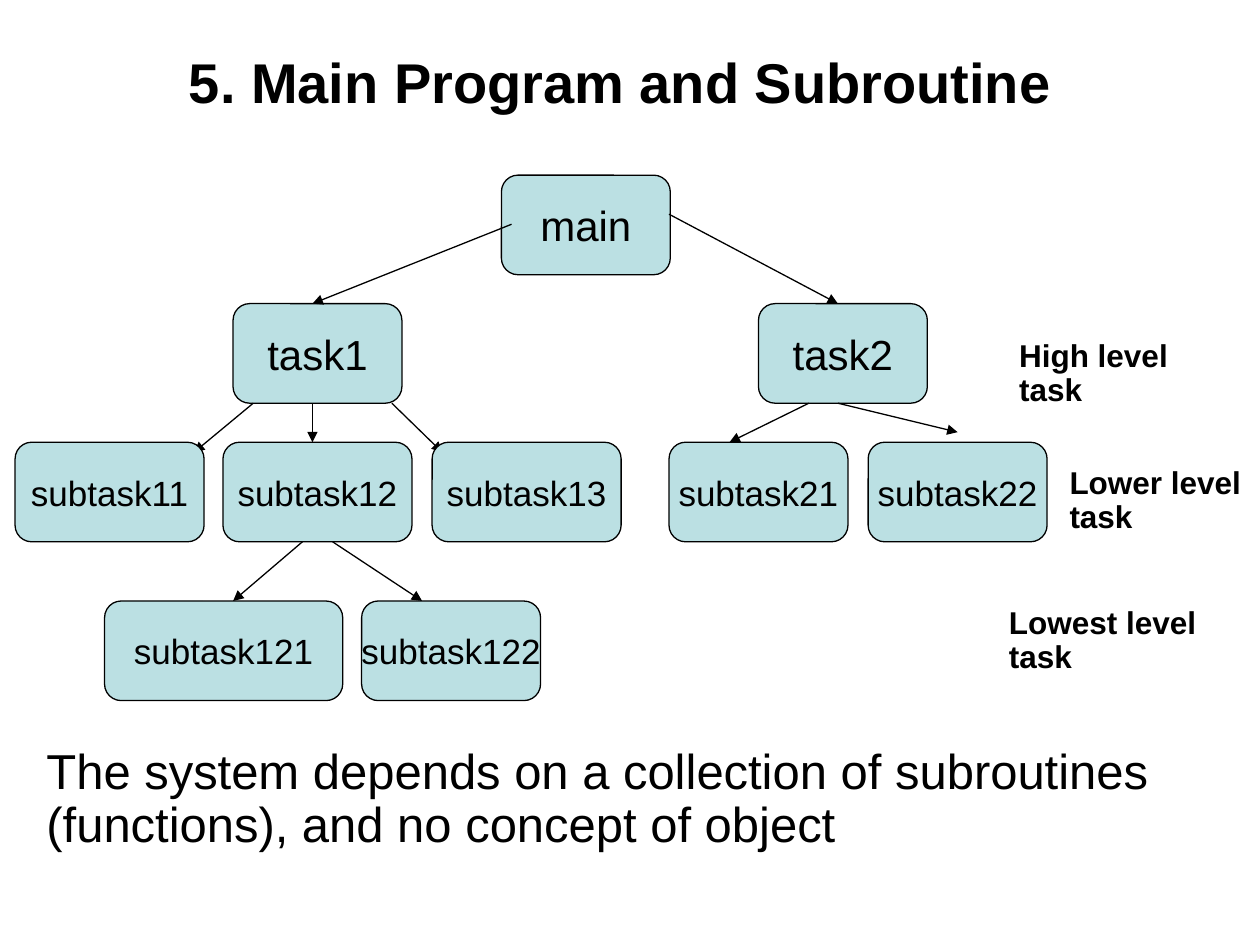
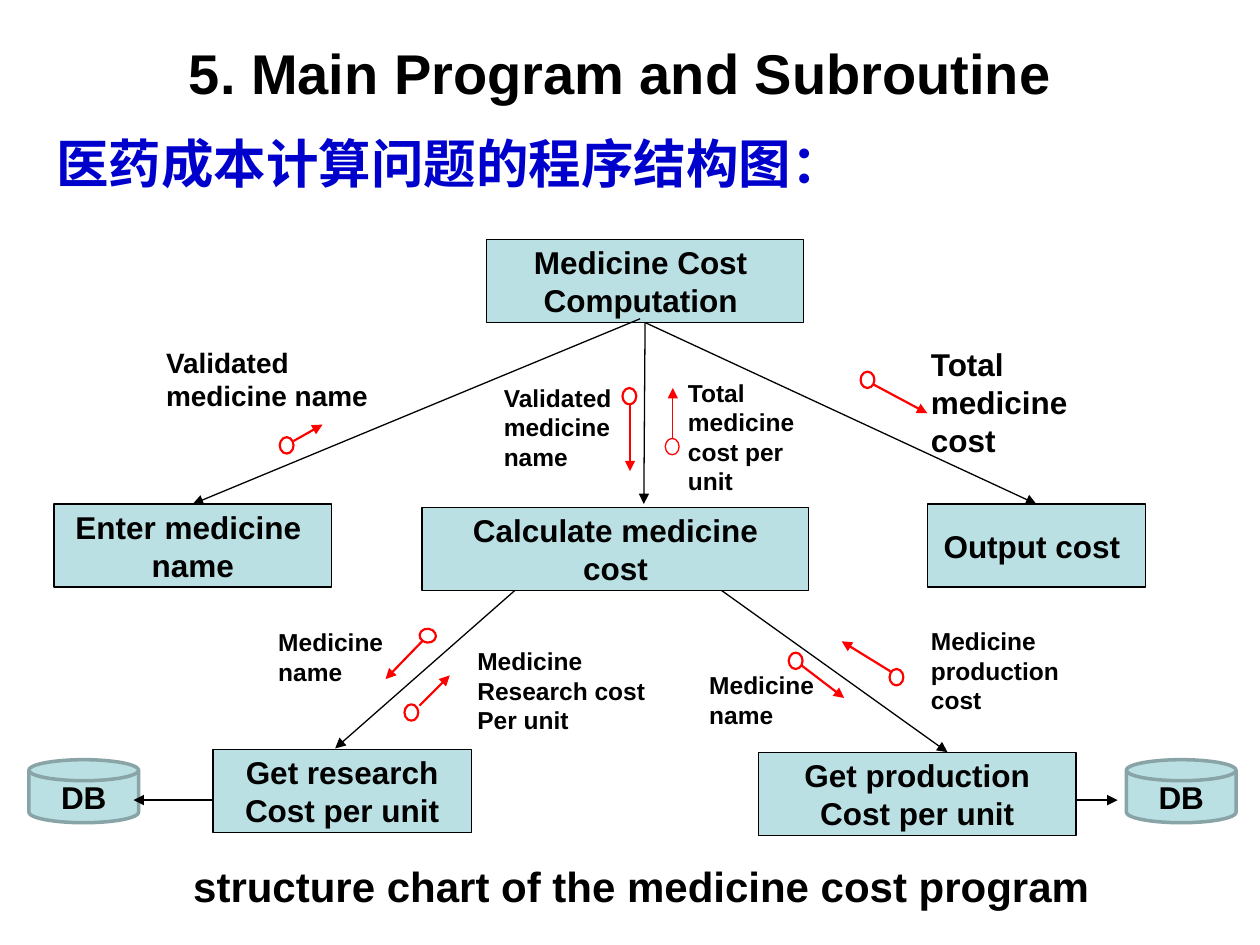
from lxml import etree
from pptx import Presentation
from pptx.dml.color import RGBColor
from pptx.enum import shapes, text
from pptx.oxml.ns import qn
from pptx.util import Pt

# Shared look
BLACK = RGBColor(0x00, 0x00, 0x00)
WHITE = RGBColor(0xFF, 0xFF, 0xFF)
AQUA = RGBColor(0xBB, 0xE0, 0xE3)
TEAL = RGBColor(0x89, 0xA4, 0xA7)
RED = RGBColor(0xFF, 0x00, 0x00)
BLUE = RGBColor(0x00, 0x00, 0xCC)
FONT = "Arial"
TITLE = "5. Main Program and Subroutine"
CENTER = text.PP_ALIGN.CENTER
PRESET = shapes.MSO_SHAPE

# The slide is a grid of 100 columns by 75 rows of square cells
deck = Presentation()
deck.slide_width, deck.slide_height = Pt(720), Pt(540)
CELL = deck.slide_width / 100


def add_block(page, preset, place, lines, size, bold=False, color=BLACK,
              spacing=None, fill=AQUA, edge=BLACK, weight=0.75):
    """Add a filled, centred shape, or a plain text box when preset is None."""
    left, top, width, height = (round(n * CELL) for n in place)
    if preset is None:
        box = page.shapes.add_textbox(left, top, width, height)
    else:
        box = page.shapes.add_shape(preset, left, top, width, height)
        box.shadow.inherit = False
        if fill is None:
            box.fill.background()
        else:
            box.fill.solid()
            box.fill.fore_color.rgb = fill
        if edge is None:
            box.line.fill.background()
        else:
            box.line.color.rgb = edge
            box.line.width = Pt(weight)
    frame = box.text_frame
    frame.word_wrap = preset is None
    if preset is not None:
        frame.vertical_anchor = text.MSO_ANCHOR.MIDDLE
    for number, line in enumerate(lines):
        para = frame.add_paragraph() if number else frame.paragraphs[0]
        para.text = line
        para.alignment = text.PP_ALIGN.LEFT if preset is None else CENTER
        if spacing:
            para.line_spacing = spacing
        para.font.name = FONT
        para.font.size = Pt(size)
        para.font.bold = bold
        para.font.color.rgb = color
    return box


def add_arrow(page, start, end, color=BLACK, weight=0.75):
    """Add a straight line with a triangle at its end."""
    ends = [round(n * CELL) for n in (*start, *end)]
    arrow = page.shapes.add_connector(shapes.MSO_CONNECTOR.STRAIGHT, *ends)
    arrow.line.color.rgb = color
    arrow.line.width = Pt(weight)
    etree.SubElement(arrow.line._get_or_add_ln(), qn("a:tailEnd"), type="triangle")
    etree.SubElement(arrow._element.spPr, qn("a:effectLst"))
    return arrow


# Pages with their titles
pages = []
for title_top in (2.8, 2.1):
    page = deck.slides.add_slide(deck.slide_layouts[6])
    title = add_block(page, PRESET.RECTANGLE, (9, title_top, 80.3, 6.4), [TITLE],
                      32, bold=True, fill=WHITE, edge=None)
    frame = title.text_frame
    frame.word_wrap = True
    frame.vertical_anchor = text.MSO_ANCHOR.TOP
    frame.margin_left, frame.margin_top = round(6 * CELL), round(CELL)
    frame.paragraphs[0].alignment = text.PP_ALIGN.LEFT
    pages.append(page)
tree_page, chart_page = pages

# Slide 1: call tree, one row of nodes per level
NODE_HEIGHT = 7.9
MAIN_ROW, TASK_ROW, SUBTASK_ROW, LEAF_ROW = 13.9, 24.1, 35.1, 47.7
TASK_BOTTOM = TASK_ROW + NODE_HEIGHT
SUBTASK_BOTTOM = SUBTASK_ROW + NODE_HEIGHT

upper_nodes = [
    ("main", 39.8, MAIN_ROW, 13.4),
    ("task1", 18.5, TASK_ROW, 13.4),
    ("task2", 60.2, TASK_ROW, 13.4),
]
lower_nodes = [
    ("subtask11", 1.2, SUBTASK_ROW, 15),
    ("subtask12", 17.7, SUBTASK_ROW, 15),
    ("subtask13", 34.3, SUBTASK_ROW, 15),
    ("subtask21", 53.1, SUBTASK_ROW, 14.2),
    ("subtask22", 68.9, SUBTASK_ROW, 14.2),
    ("subtask121", 8.3, LEAF_ROW, 18.9),
    ("subtask122", 28.7, LEAF_ROW, 14.2),
]
calls = [
    ((40.6, 17.8), (24.8, TASK_ROW)),
    ((53.1, 17), (66.5, TASK_ROW)),
    ((20.1, TASK_BOTTOM), (15.4, 35.9)),
    ((24.8, TASK_BOTTOM), (24.8, SUBTASK_ROW)),
    ((31.1, TASK_BOTTOM), (35.1, 35.9)),
    ((64.2, TASK_BOTTOM), (57.9, SUBTASK_ROW)),
    ((66.5, TASK_BOTTOM), (76, 34.3)),
    ((24, SUBTASK_BOTTOM), (18.5, LEAF_ROW)),
    ((26.4, SUBTASK_BOTTOM), (33.5, LEAF_ROW)),
]
for name, left, top, width in upper_nodes:
    add_block(tree_page, PRESET.ROUNDED_RECTANGLE, (left, top, width, NODE_HEIGHT), [name], 24)
for start, end in calls:
    add_arrow(tree_page, start, end)
for name, left, top, width in lower_nodes:
    add_block(tree_page, PRESET.ROUNDED_RECTANGLE, (left, top, width, NODE_HEIGHT), [name], 20)

# Level labels and closing statement
for level, left, top, width in [
    ("High level", 79.9, 26.5, 15.7),
    ("Lower level", 83.9, 36.6, 15.7),
    ("Lowest level", 79.1, 47.7, 17.7),
]:
    add_block(tree_page, None, (left, top, width, 6.4), [level, "task"], 18,
              bold=True, spacing=0.9)
add_block(tree_page, None, (2.7, 58.8, 94.1, 11.8),
          ["The system depends on a collection of subroutines",
           "(functions), and no concept of object"], 28, spacing=0.9)

# Slide 2: heading and caption
add_block(chart_page, None, (3.5, 9.9, 65.9, 6), ["医药成本计算问题的程序结构图："], 30,
          bold=True, color=BLUE)
caption = add_block(chart_page, None, (5.9, 68.6, 90, 4.3),
                    ["structure chart of the medicine cost program"], 24,
                    bold=True, spacing=0.8)
caption.text_frame.paragraphs[0].alignment = CENTER

# Modules and the calls between them; the middle module covers its arrows' ends
MODULE_HEIGHT = 6.6
modules = {}
for key, lines, left, top, width in [
    ("computation", ["Medicine Cost ", "Computation "], 38.6, 19, 25.2),
    ("enter", ["Enter medicine ", "name"], 4.3, 40, 22),
    ("output", ["Output cost "], 73.6, 40, 17.3),
    ("production", ["Get production", "Cost per unit"], 60.2, 59.7, 25.2),
    ("research", ["Get research", "Cost per unit"], 16.9, 59.5, 20.5),
]:
    modules[key] = add_block(chart_page, PRESET.RECTANGLE, (left, top, width, MODULE_HEIGHT),
                             lines, 18, bold=True)

enter_call = add_arrow(chart_page, (50.8, 25.3), (15.3, 39.7))
enter_call.end_connect(modules["enter"], 0)
calculate_call = add_arrow(chart_page, (51.1, 25.6), (51.1, 40))
calculate_call.begin_connect(modules["computation"], 2)
output_call = add_arrow(chart_page, (51.1, 25.6), (82.3, 39.9))
output_call.begin_connect(modules["computation"], 2)
output_call.end_connect(modules["output"], 0)
add_arrow(chart_page, (41.5, 46.3), (26.6, 59.4))
add_arrow(chart_page, (56.9, 46.6), (75.2, 59.7))
add_block(chart_page, PRESET.RECTANGLE, (33.5, 40.3, 30.7, MODULE_HEIGHT),
          ["Calculate medicine", "cost"], 18, bold=True)

# Data passed along each call: label, ring and red arrow
RING = (1.1, 1.3)
flows = [
    (["Validated medicine name"], (12.2, 26.9, 19.4, 6.3), 16,
     (22.2, 34.7), (23.3, 35), (25.6, 33.7)),
    (["Medicine", "Research cost", "Per unit"], (36.9, 50.8, 15.7, 8), 14,
     (32.1, 55.9), (33.3, 56), (35.7, 53.6)),
    (["Total medicine cost per unit"], (54.6, 29.5, 9.6, 10.3), 14,
     (52.8, 34.8), (53.4, 34.8), (53.4, 30.8)),
    (["Medicine name"], (55.3, 52.7, 11.5, 5.7), 14,
     (62.6, 51.8), (63.6, 52.8), (67, 55.4)),
    (["Total medicine cost"], (72.9, 26.9, 13.7, 10), 18,
     (68.3, 29.5), (69.3, 30.5), (73.6, 32.8)),
    (["Validated medicine name"], (39, 29.9, 12.6, 8), 14,
     (49.4, 30.8), (50, 32.1), (50, 37.4)),
    (["Medicine production cost"], (72.9, 49.2, 12.6, 8), 14,
     (70.6, 53.1), (70.7, 53.3), (66.8, 50.9)),
    (["Medicine name"], (21.1, 49.3, 11.5, 5.7), 14,
     (33.4, 49.8), (33.6, 50.8), (30.6, 53.9)),
]
for lines, place, size, ring_corner, start, end in flows:
    thin = lines == ["Total medicine cost per unit"]
    weight = 0.75 if thin else 1.25
    label = add_block(chart_page, None, place, lines, size, bold=True)
    if thin:
        label.text_frame.margin_left = label.text_frame.margin_right = 0
    ring = add_block(chart_page, PRESET.OVAL, (*ring_corner, *RING), [], size,
                     fill=None, edge=RED, weight=weight)
    add_arrow(chart_page, start, end, RED, weight)
ring.rotation = 96.6  # the last ring lies on its side

# Databases
for left, start, end in [(2.3, 16.9, 10.6), (89.4, 85.4, 88.7)]:
    add_block(chart_page, PRESET.FLOWCHART_MAGNETIC_DISK, (left, 60.3, 8.7, 5), ["DB"], 18,
              bold=True, edge=TEAL, weight=2)
    add_arrow(chart_page, (start, 63.5), (end, 63.5))

deck.save("out.pptx")
